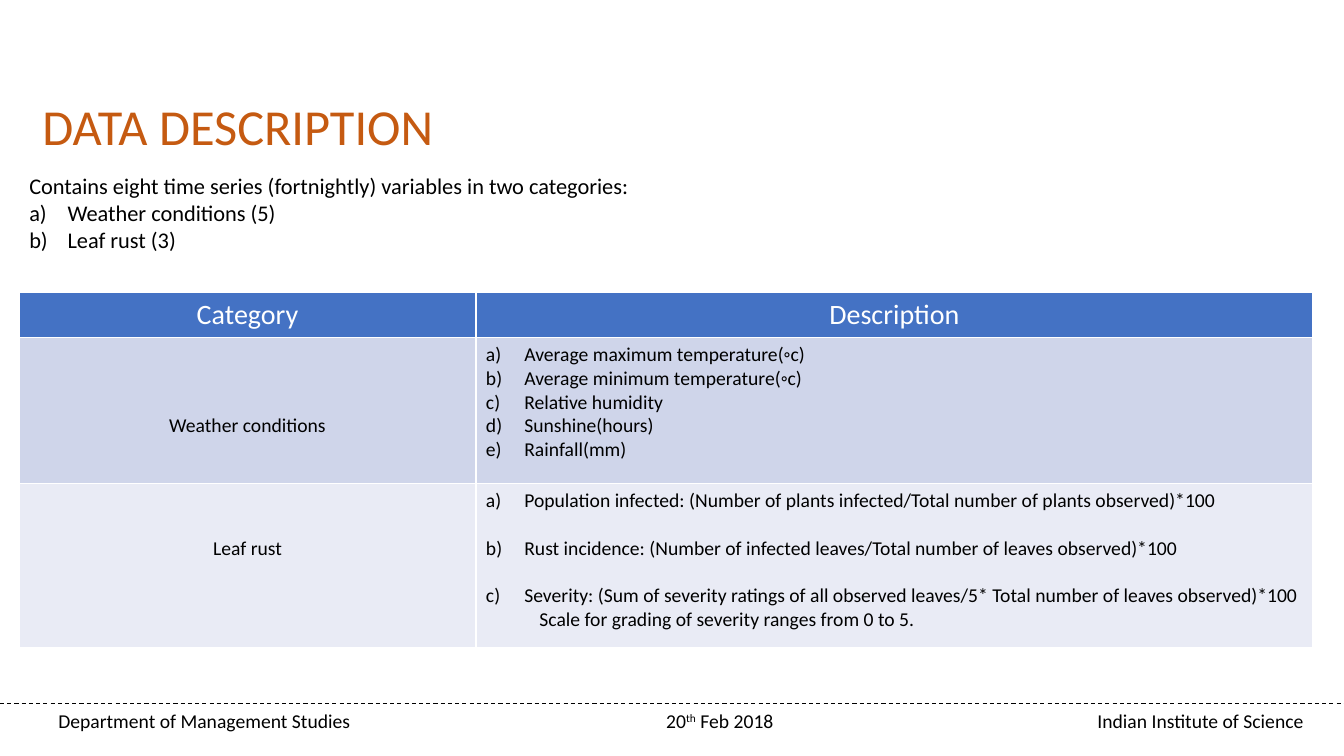
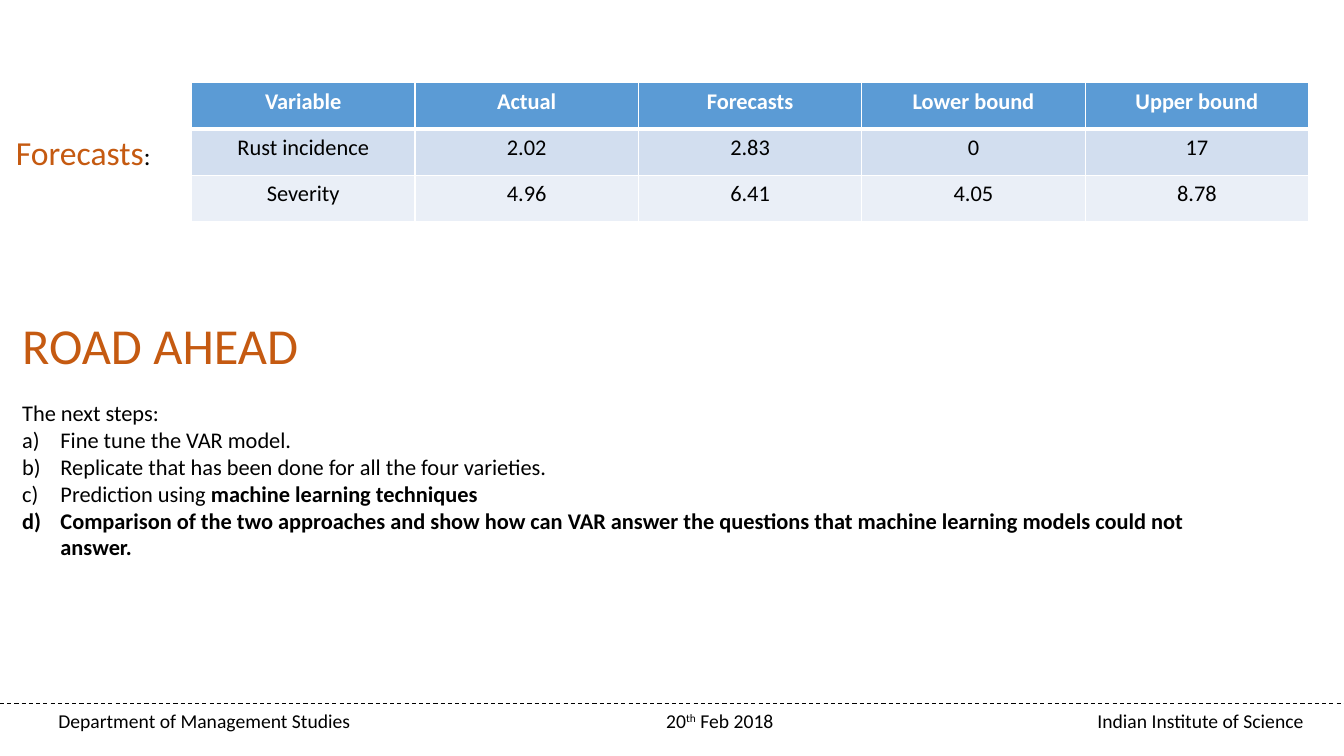
from lxml import etree
from pptx import Presentation
from pptx.dml.color import RGBColor
from pptx.enum.dml import MSO_LINE
from pptx.enum.shapes import MSO_CONNECTOR
from pptx.enum.text import MSO_ANCHOR, MSO_AUTO_SIZE, PP_ALIGN
from pptx.oxml.ns import qn
from pptx.util import Inches, Pt

LEFT, MID, RIGHT = PP_ALIGN.LEFT, PP_ALIGN.CENTER, PP_ALIGN.RIGHT
TOP = MSO_ANCHOR.TOP
FIXED = MSO_AUTO_SIZE.NONE
DASH = MSO_LINE.DASH
STRAIGHT = MSO_CONNECTOR.STRAIGHT

WIDE, HIGH = 13.33, 7.5
FONT = "Calibri"
BLACK, WHITE, RUST = "000000", "FFFFFF", "C55A11"
HANG = 0.38   # hanging indent of lettered items
PAD = 0.05    # top margin of a cell
LINE = 17     # one line of 14 point text, in points

FOOT_Y = 6.98
# text runs as (text, superscript), left, width, alignment
FOOT = [
    ([("Department of Management Studies", False)], 0.48, 4, LEFT),
    ([("20", False), ("th", True), (" Feb 2018", False)], 6.14, 2, MID),
    ([("Indian Institute of Science", False)], 9.03, 4, RIGHT),
]

DATA = {
    "title": ("DATA DESCRIPTION", (0.32, 0.89, 5.83, 0.71)),
    "place": (0.19, 1.66, 12.3, 0.91),
    "lead": "Contains eight time series (fortnightly) variables in two categories:",
    "items": [[("Weather conditions (5)", False)], [("Leaf rust (3)", False)]],
}
KINDS = {
    "place": (0.19, 2.9),
    "cols": [4.53, 8.3],
    "rows": [0.45, 1.45, 1.62],
    "fills": ["4472C4", "CFD5EA", "E9EBF5"],
    "rule": 1,
    "sizes": (20, 14),
    "bold": False,
    "cells": [
        ["Category", "Description"],
        ["Weather conditions", [
            "Average maximum temperature(◦c)",
            "Average minimum temperature(◦c)",
            "Relative humidity",
            "Sunshine(hours)",
            "Rainfall(mm)"]],
        ["Leaf rust", [
            "Population infected: (Number of plants infected/"
            "Total number of plants observed)*100",
            "Rust incidence: (Number of infected leaves/"
            "Total number of leaves observed)*100",
            "Severity: (Sum of severity ratings of all observed leaves/5* "
            "Total number of leaves observed)*100"]],
    ],
}
SCALE = "Scale for grading of severity ranges from 0 to 5."

ROAD = {
    "title": ("ROAD AHEAD", (0.12, 3.07, 6.06, 0.71)),
    "place": (0.12, 3.91, 12, 1.72),
    "lead": "The next steps:",
    "items": [
        [("Fine tune the VAR model.", False)],
        [("Replicate that has been done for all the four varieties.", False)],
        [("Prediction using ", False), ("machine learning techniques", True)],
        [("Comparison of the two approaches and show how can VAR answer the "
          "questions that machine learning models could not answer.", True)],
    ],
}
BOUNDS = {
    "place": (1.9, 0.82),
    "cols": [2.216] * 5,
    "rows": [0.46] * 3,
    "fills": ["5B9BD5", "D2DEEF", "EAEFF7"],
    "rule": 3,
    "sizes": (16, 16),
    "bold": True,
    "cells": [
        ["Variable", "Actual", "Forecasts", "Lower bound", "Upper bound"],
        ["Rust incidence", "2.02", "2.83", "0", "17"],
        ["Severity", "4.96", "6.41", "4.05", "8.78"],
    ],
}


def rgb(code):
    return RGBColor.from_string(code)


def style(font, size, color=BLACK, bold=False):
    font.name, font.size, font.bold = FONT, Pt(size), bold
    font.color.rgb = rgb(color)


def indent(para, left, hang=0, letter=False):
    """Set the indents and choose a), b), c) or no bullet."""
    props = para._p.get_or_add_pPr()
    props.set("marL", str(Inches(left)))
    props.set("indent", str(Inches(-hang)))
    if letter:
        etree.SubElement(props, qn("a:buAutoNum"), type="alphaLcParenR")
    else:
        etree.SubElement(props, qn("a:buNone"))


def fill_para(para, text, size, color=BLACK, bold=False, align=LEFT):
    para.text, para.alignment = text, align
    style(para.font, size, color, bold)


def move(shape, place):
    shape.left, shape.top, shape.width, shape.height = map(Inches, place)
    frame = shape.text_frame
    frame.word_wrap, frame.auto_size = True, FIXED
    frame.vertical_anchor = TOP
    return frame


def add_box(slide, place):
    return move(slide.shapes.add_textbox(0, 0, 0, 0), place)


def add_foot(slide):
    rule = slide.shapes.add_connector(
        STRAIGHT, 0, Inches(FOOT_Y), Inches(WIDE), Inches(FOOT_Y))
    rule.line.color.rgb = rgb(BLACK)
    rule.line.width, rule.line.dash_style = Pt(0.75), DASH
    etree.SubElement(rule._element.spPr, qn("a:effectLst"))
    for parts, left, width, align in FOOT:
        para = add_box(slide, (left, FOOT_Y, width, 0.34)).paragraphs[0]
        para.alignment = align
        style(para.font, 14)
        for text, raised in parts:
            run = para.add_run()
            run.text = text
            if raised:
                run._r.get_or_add_rPr().set("baseline", "30000")


def add_slide(deck, page):
    """Add a slide with its title, lettered list and footer."""
    slide = deck.slides.add_slide(deck.slide_layouts[1])
    text, place = page["title"]
    frame = move(slide.shapes.title, place)
    fill_para(frame.paragraphs[0], text, 36, RUST)

    frame = move(slide.placeholders[1], page["place"])
    lead = frame.paragraphs[0]
    fill_para(lead, page["lead"], 16)
    lead.space_before = Pt(0)
    indent(lead, 0)
    for parts in page["items"]:
        para = frame.add_paragraph()
        para.space_before = Pt(0)
        indent(para, HANG, HANG, True)
        style(para.font, 16)
        for words, bold in parts:
            run = para.add_run()
            run.text, run.font.bold = words, bold
    add_foot(slide)
    return slide


def set_edges(cell, top, bottom):
    """Draw white edges; top and bottom are widths in points."""
    props = cell._tc.get_or_add_tcPr()
    for side, width in zip("LRTB", (1, 1, top, bottom)):
        edge = etree.SubElement(props, qn("a:ln" + side), w=str(Pt(width)))
        paint = etree.SubElement(edge, qn("a:solidFill"))
        etree.SubElement(paint, qn("a:srgbClr"), val=WHITE)


def add_grid(slide, spec_):
    cols, rows, rule = spec_["cols"], spec_["rows"], spec_["rule"]
    left, top = spec_["place"]
    grid = slide.shapes.add_table(
        len(rows), len(cols), Inches(left), Inches(top),
        Inches(sum(cols)), Inches(sum(rows))).table
    for col, width in zip(grid.columns, cols):
        col.width = Inches(width)
    for row, height in zip(grid.rows, rows):
        row.height = Inches(height)
    for r, line in enumerate(spec_["cells"]):
        head = r == 0
        size = spec_["sizes"][0 if head else 1]
        color = WHITE if head else BLACK
        for c, text in enumerate(line):
            cell = grid.cell(r, c)
            set_edges(cell, rule if r == 1 else 1, rule if head else 1)
            cell.fill.solid()
            cell.fill.fore_color.rgb = rgb(spec_["fills"][r])
            items = [text] if isinstance(text, str) else text
            for i, item in enumerate(items):
                frame = cell.text_frame
                para = frame.add_paragraph() if i else frame.paragraphs[0]
                fill_para(para, item, size, color, head and spec_["bold"],
                          MID if items is not text else LEFT)
                if items is text:
                    indent(para, HANG, HANG, True)
    return grid


def build():
    deck = Presentation()
    deck.slide_width, deck.slide_height = Inches(WIDE), Inches(HIGH)

    slide = add_slide(deck, DATA)
    grid = add_grid(slide, KINDS)
    for r, lines in ((1, 3), (2, 2)):
        grid.cell(r, 0).margin_top = Inches(PAD) + Pt(lines * LINE)
    rust = grid.cell(2, 1).text_frame
    for para in rust.paragraphs[1:]:
        para.space_before = Pt(LINE)
    para = rust.add_paragraph()
    fill_para(para, SCALE, 14)
    indent(para, 0.53)

    slide = add_slide(deck, ROAD)
    add_grid(slide, BOUNDS)
    para = add_box(slide, (0.06, 1.26, 1.8, 0.5)).paragraphs[0]
    style(para.font, 24)
    for text, size, color in (("Forecasts", 24, RUST), (":", 18, BLACK)):
        run = para.add_run()
        run.text = text
        style(run.font, size, color)

    deck.save("out.pptx")


if __name__ == "__main__":
    build()
